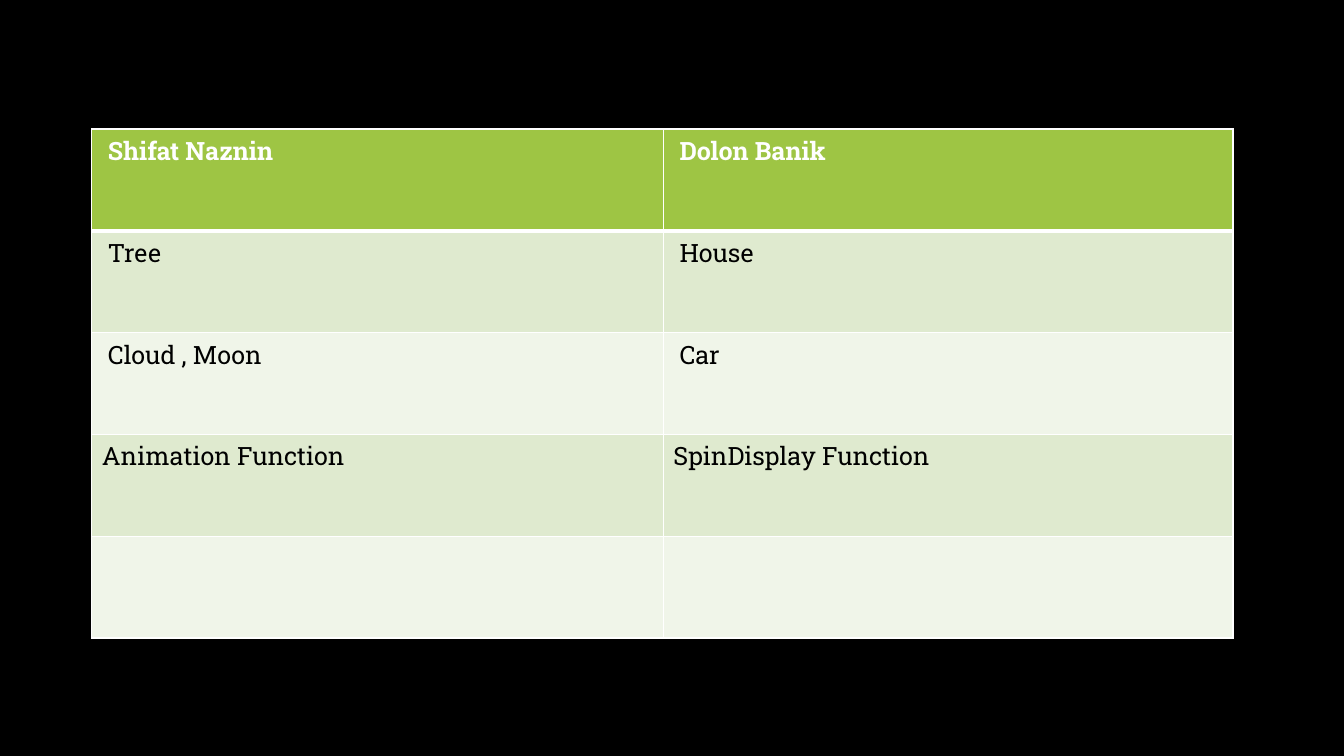
from dataclasses import dataclass

from lxml import etree
from pptx import Presentation
from pptx import util as u
from pptx.dml.color import RGBColor
from pptx.oxml import ns
from pptx.slide import Slide
from pptx.table import _Cell

COLORS = {
    "background": "000000",
    "header": "9EC544",
    "band_dark": "DFEACF",
    "band_light": "F0F5E9",
    "border": "FFFFFF",
    "header_text": "FFFFFF",
    "body_text": "000000",
}
FONT = "Roboto Slab"
COLUMN_WIDTHS = (5.67, 5.65)
ROW_HEIGHT = 1.01
THIN, THICK = 1, 3


@dataclass(frozen=True)
class TaskRow:
    """One table row: a task for each team member."""
    tasks: tuple[str, str]
    fill: str
    margin: float = 0.16
    header: bool = False


ROWS = (
    TaskRow(("Shifat Naznin", "Dolon Banik"), "header", header=True),
    TaskRow(("Tree", "House"), "band_dark"),
    TaskRow(("Cloud , Moon", "Car"), "band_light"),
    TaskRow(("Animation Function", "SpinDisplay Function"), "band_dark", margin=0.1),
    TaskRow(("", ""), "band_light"),
)


def color(name: str) -> RGBColor:
    """Look up a named colour."""
    return RGBColor.from_string(COLORS[name])


def add_borders(cell: _Cell, top: int, bottom: int) -> None:
    """Draw the four cell borders, with widths in points."""
    properties = cell._tc.get_or_add_tcPr()
    for side, width in (("L", THIN), ("R", THIN), ("T", top), ("B", bottom)):
        line = etree.SubElement(properties, ns.qn(f"a:ln{side}"), w=str(u.Pt(width)))
        fill = etree.SubElement(line, ns.qn("a:solidFill"))
        etree.SubElement(fill, ns.qn("a:srgbClr"), val=COLORS["border"])


def fill_cell(cell: _Cell, task: str, row: TaskRow, below_header: bool) -> None:
    """Write and style one cell."""
    add_borders(cell, THICK if below_header else THIN, THICK if row.header else THIN)
    cell.fill.solid()
    cell.fill.fore_color.rgb = color(row.fill)
    cell.margin_left = u.Inches(row.margin)
    cell.text = task
    font = cell.text_frame.paragraphs[0].font
    font.name, font.size, font.bold = FONT, u.Pt(18), row.header
    font.color.rgb = color("header_text" if row.header else "body_text")


def add_task_table(slide: Slide) -> None:
    """Add the table that shares the tasks between the members."""
    table = slide.shapes.add_table(
        len(ROWS), len(COLUMN_WIDTHS), u.Inches(0.91), u.Inches(1.28),
        u.Inches(sum(COLUMN_WIDTHS)), u.Inches(ROW_HEIGHT * len(ROWS)),
    ).table
    for column, width in zip(table.columns, COLUMN_WIDTHS):
        column.width = u.Inches(width)
    for index, row in enumerate(ROWS):
        table.rows[index].height = u.Inches(ROW_HEIGHT)
        below_header = index > 0 and ROWS[index - 1].header
        for cell, task in zip(table.rows[index].cells, row.tasks):
            fill_cell(cell, task, row, below_header)


def main() -> None:
    """Build and save the presentation."""
    presentation = Presentation()
    presentation.slide_width = u.Inches(13.33)
    presentation.slide_height = u.Inches(7.5)
    slide = presentation.slides.add_slide(presentation.slide_layouts[6])
    slide.background.fill.solid()
    slide.background.fill.fore_color.rgb = color("background")
    add_task_table(slide)
    presentation.save("out.pptx")


main()
